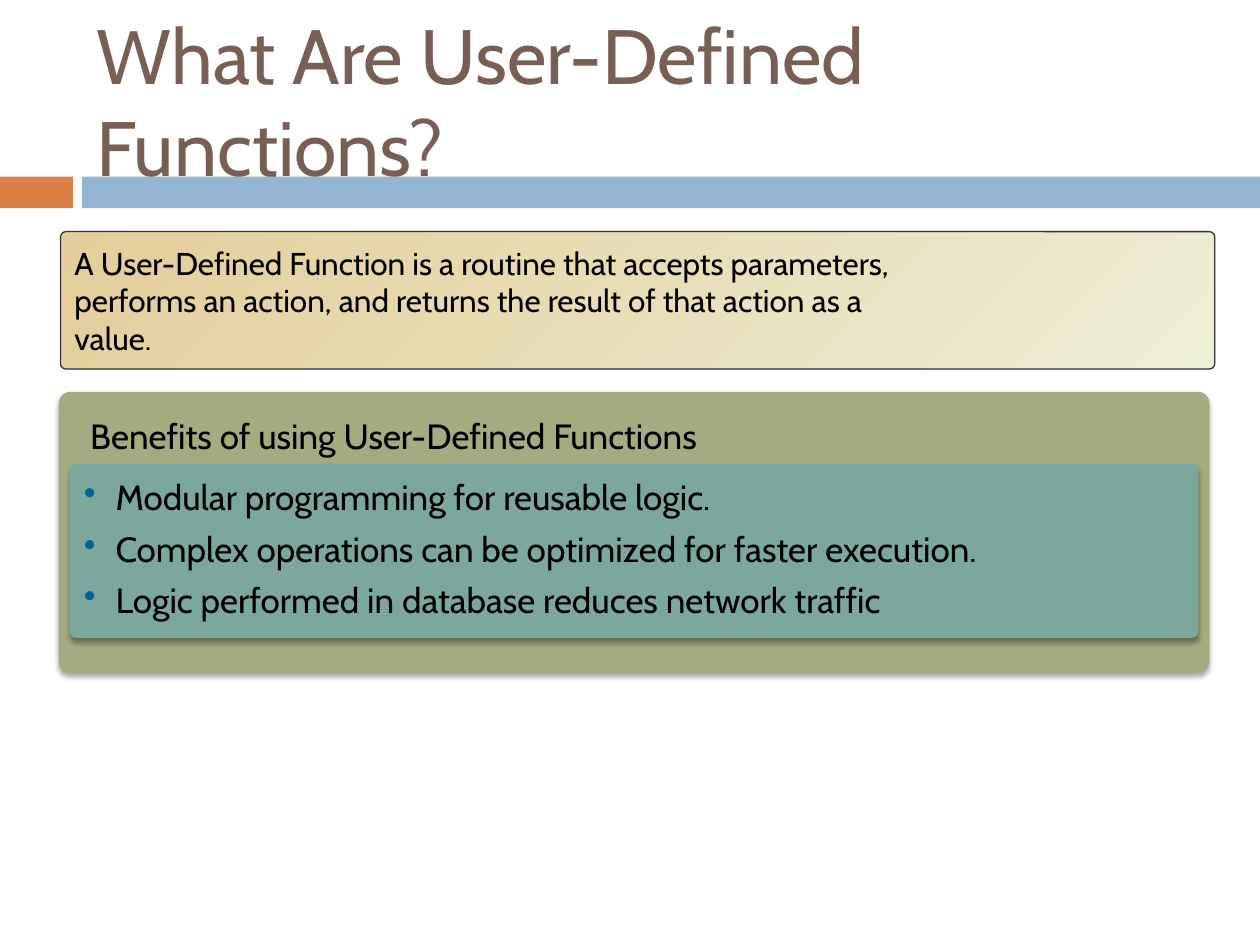
import lxml.etree
import pptx
import pptx.dml.color
import pptx.enum.shapes
import pptx.enum.text
import pptx.oxml.ns
import pptx.util

Cm = pptx.util.Cm
Pt = pptx.util.Pt
qn = pptx.oxml.ns.qn
KIND = pptx.enum.shapes.MSO_SHAPE
ANCHOR = pptx.enum.text.MSO_ANCHOR
FONT = "Cabin"
BLACK = "000000"


def rgb(code):
    return pptx.dml.color.RGBColor.from_string(code)


def sub(node, tag, **attrs):
    return lxml.etree.SubElement(node, qn(tag), attrs)


def add_box(slide, kind, place, fill):
    """Add a preset shape without outline; two fill colours make a gradient."""
    box = slide.shapes.add_shape(kind, *map(Cm, place))
    box.shadow.inherit = False
    box.line.fill.background()
    if isinstance(fill, str):
        box.fill.solid()
        box.fill.fore_color.rgb = rgb(fill)
    else:
        box.fill.gradient()
        box.fill.gradient_angle = 315
        for stop, code in zip(box.fill.gradient_stops, fill):
            stop.color.rgb = rgb(code)
    if kind == KIND.ROUNDED_RECTANGLE:
        box.adjustments[0] = 0.04
    return box


def add_shade(box):
    """Give the shape a soft shadow straight below it."""
    effects = box.element.spPr.find(qn("a:effectLst"))
    shade = sub(effects, "a:outerShdw", blurRad=str(Pt(3)), dist=str(Pt(2)),
                dir="5400000", rotWithShape="0")
    color = sub(shade, "a:srgbClr", val=BLACK)
    sub(color, "a:alpha", val="35000")


def add_bullet(para, code):
    props = para._p.get_or_add_pPr()
    props.set("marL", str(Cm(0.64)))
    props.set("indent", str(-Cm(0.64)))
    sub(sub(props, "a:buClr"), "a:srgbClr", val=code)
    sub(props, "a:buChar", char="•")


def write(box, lines, size, code=BLACK, anchor=ANCHOR.MIDDLE):
    """Write one left-aligned paragraph per line and return the paragraphs."""
    frame = box.text_frame
    frame.word_wrap = True
    frame.vertical_anchor = anchor
    for index, line in enumerate(lines):
        para = frame.add_paragraph() if index else frame.paragraphs[0]
        para.alignment = pptx.enum.text.PP_ALIGN.LEFT
        run = para.add_run()
        run.text = line
        run.font.name = FONT
        run.font.size = Pt(size)
        run.font.color.rgb = rgb(code)
    return frame.paragraphs


def add_label(slide, place, line, size, code, anchor):
    box = slide.shapes.add_textbox(*map(Cm, place))
    write(box, [line], size, code, anchor)


def add_intro(slide):
    box = add_box(slide, KIND.ROUNDED_RECTANGLE, (1.22, 4.67, 23.27, 2.77),
                  ("E4CD9A", "EEEFD7"))
    box.line.color.rgb = rgb("333333")
    box.line.width = Pt(0.75)
    write(box, [
        "A User-Defined Function is a routine that accepts parameters,",
        "performs an action, and returns the result of that action as a",
        "value.",
    ], 18)


def add_list(slide):
    box = add_box(slide, KIND.ROUNDED_RECTANGLE, (1.4, 9.35, 22.76, 3.51),
                  "7BA79D")
    add_shade(box)
    paras = write(box, [
        "Modular programming for reusable logic.",
        "Complex operations can be optimized for faster execution.",
        "Logic performed in database reduces network traffic",
    ], 20)
    for para in paras:
        para.line_spacing = 0.9
        para.space_before = Pt(8)
        add_bullet(para, "006699")


def main():
    deck = pptx.Presentation()
    deck.slide_width, deck.slide_height = Cm(25.4), Cm(19.05)
    slide = deck.slides.add_slide(deck.slide_layouts[6])

    add_box(slide, KIND.RECTANGLE, (0, 3.56, 1.47, 0.64), "DD8047")
    add_box(slide, KIND.RECTANGLE, (1.65, 3.56, 23.75, 0.64), "94B6D2")
    panel = add_box(slide, KIND.ROUNDED_RECTANGLE, (1.19, 7.9, 23.19, 5.66),
                    "A5AB81")
    add_shade(panel)
    add_label(slide, (1.7, 0.64, 22.66, 2.74),
              "What Are User-Defined Functions?", 44, "775F55", ANCHOR.MIDDLE)
    add_list(slide)
    add_label(slide, (1.57, 8.23, 20.83, 1.09),
              "Benefits of using User-Defined Functions", 20, BLACK, ANCHOR.TOP)
    add_intro(slide)
    deck.save("out.pptx")


if __name__ == "__main__":
    main()
